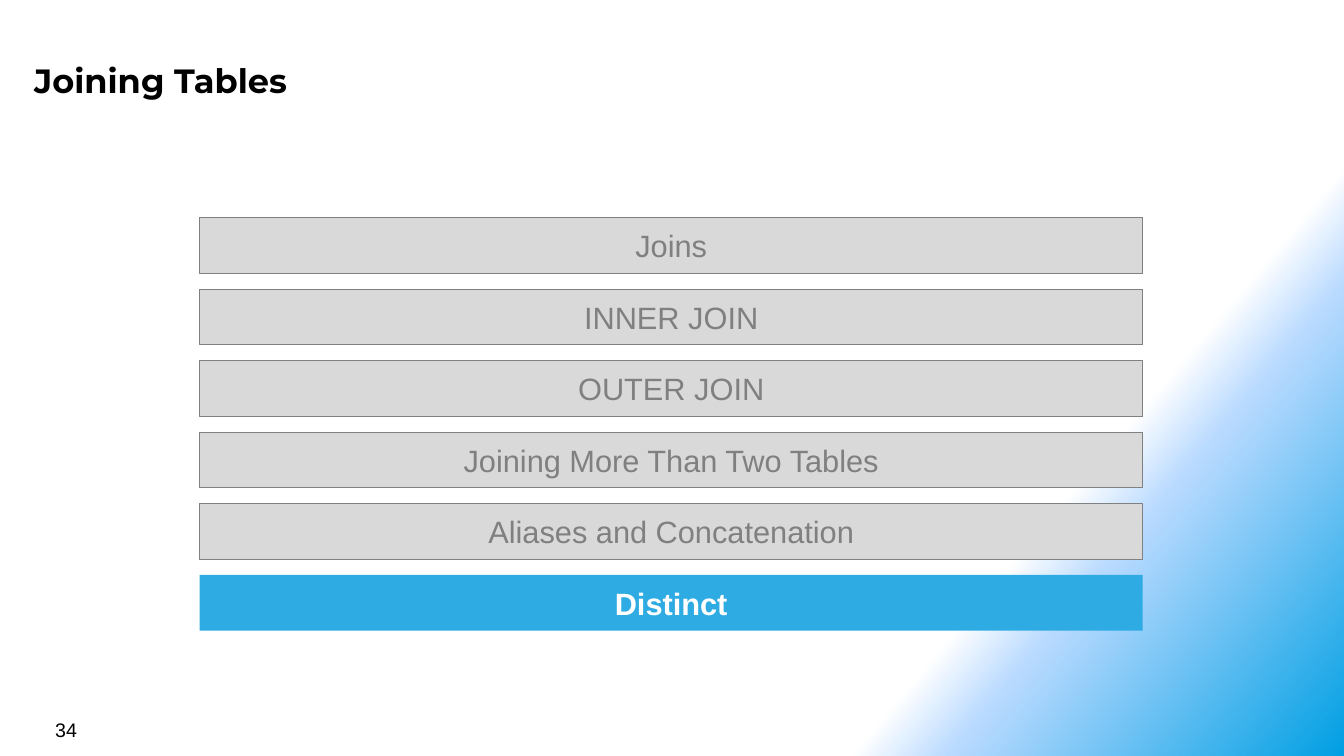
from pptx import Presentation
from pptx import util as u
from pptx.dml.color import RGBColor
from pptx.enum import shapes, text
from pptx.oxml import parse_xml
from pptx.oxml.ns import nsdecls

COLORS = {
    "black": "000000",
    "white": "FFFFFF",
    "grey": "808080",
    "light_grey": "D9D9D9",
    "accent": "2EABE2",
    "pale_blue": "B9DAFF",
    "deep_blue": "009FE3",
}

TOPICS = [
    "Joins",
    "INNER JOIN",
    "OUTER JOIN",
    "Joining More Than Two Tables",
    "Aliases and Concatenation",
    "Distinct",
]
CURRENT_TOPIC = "Distinct"


class AgendaSlide:
    formats = {
        "title": {"name": "Montserrat", "size": u.Pt(24), "bold": True},
        "topic": {"name": "Arial", "size": u.Pt(22), "bold": False},
        "current": {"name": "Arial", "size": u.Pt(22), "bold": True},
        "number": {"name": "Arial", "size": u.Pt(14), "bold": False},
    }

    def __init__(self, presentation):
        self.slide = presentation.slides.add_slide(presentation.slide_layouts[5])

    def color(self, name):
        return RGBColor.from_string(COLORS[name])

    def background(self, stops, angle):
        stop_xml = "".join(
            f'<a:gs pos="{position * 1000}"><a:srgbClr val="{COLORS[name]}">'
            f'<a:alpha val="{opacity * 1000}"/></a:srgbClr></a:gs>'
            for position, name, opacity in stops
        )
        self.slide.element.cSld.insert(0, parse_xml(
            f'<p:bg {nsdecls("p", "a")}><p:bgPr><a:gradFill rotWithShape="1">'
            f'<a:gsLst>{stop_xml}</a:gsLst><a:lin ang="{angle * 60000}" scaled="0"/>'
            '</a:gradFill><a:effectLst/></p:bgPr></p:bg>'
        ))

    def label(self, shape, words, style, color, align, anchor, inset):
        frame = shape.text_frame
        frame_format = {
            "word_wrap": True,
            "auto_size": text.MSO_AUTO_SIZE.NONE,
            "vertical_anchor": anchor,
            "margin_left": inset,
            "margin_right": inset,
            "margin_top": inset,
            "margin_bottom": inset,
        }
        for name, value in frame_format.items():
            setattr(frame, name, value)
        paragraph = frame.paragraphs[0]
        paragraph.alignment = align
        run = paragraph.add_run()
        run.text = words
        for name, value in self.formats[style].items():
            setattr(run.font, name, value)
        run.font.color.rgb = self.color(color)

    def title(self, words, left, top, width, height):
        shape = self.slide.shapes.title
        position = {"left": left, "top": top, "width": width, "height": height}
        for name, value in position.items():
            setattr(shape, name, u.Cm(value))
        self.label(shape, words, "title", "black", text.PP_ALIGN.LEFT,
                   text.MSO_ANCHOR.TOP, u.Cm(0.2))

    def bar(self, words, current, left, top, width, height):
        shape = self.slide.shapes.add_shape(
            shapes.MSO_SHAPE.RECTANGLE, *map(u.Cm, (left, top, width, height)))
        shape.shadow.inherit = False
        shape.fill.solid()
        shape.fill.fore_color.rgb = self.color("accent" if current else "light_grey")
        if current:
            shape.line.fill.background()
        else:
            shape.line.color.rgb = self.color("grey")
            shape.line.width = u.Pt(0.5)
        self.label(shape, words, "current" if current else "topic",
                   "white" if current else "grey", text.PP_ALIGN.CENTER,
                   text.MSO_ANCHOR.MIDDLE, u.Cm(0))

    def number(self, words, left, top, width, height):
        shape = self.slide.shapes.add_textbox(*map(u.Cm, (left, top, width, height)))
        self.label(shape, words, "number", "black", text.PP_ALIGN.LEFT,
                   text.MSO_ANCHOR.MIDDLE, u.Cm(0.25))


def main():
    presentation = Presentation()
    presentation.slide_width = u.Cm(33.87)
    presentation.slide_height = u.Cm(19.05)
    agenda = AgendaSlide(presentation)
    agenda.background(
        [(75, "white", 100), (80, "pale_blue", 50), (100, "deep_blue", 100)], 40)
    agenda.title("Joining Tables", 0.66, 1.3, 31.14, 1.4)
    for index, topic in enumerate(TOPICS):
        agenda.bar(topic, topic == CURRENT_TOPIC, 5.03, 5.49 + 1.8 * index, 23.77, 1.4)
    agenda.number("34", 1.14, 17.96, 7.9, 0.84)
    presentation.save("out.pptx")


if __name__ == "__main__":
    main()
